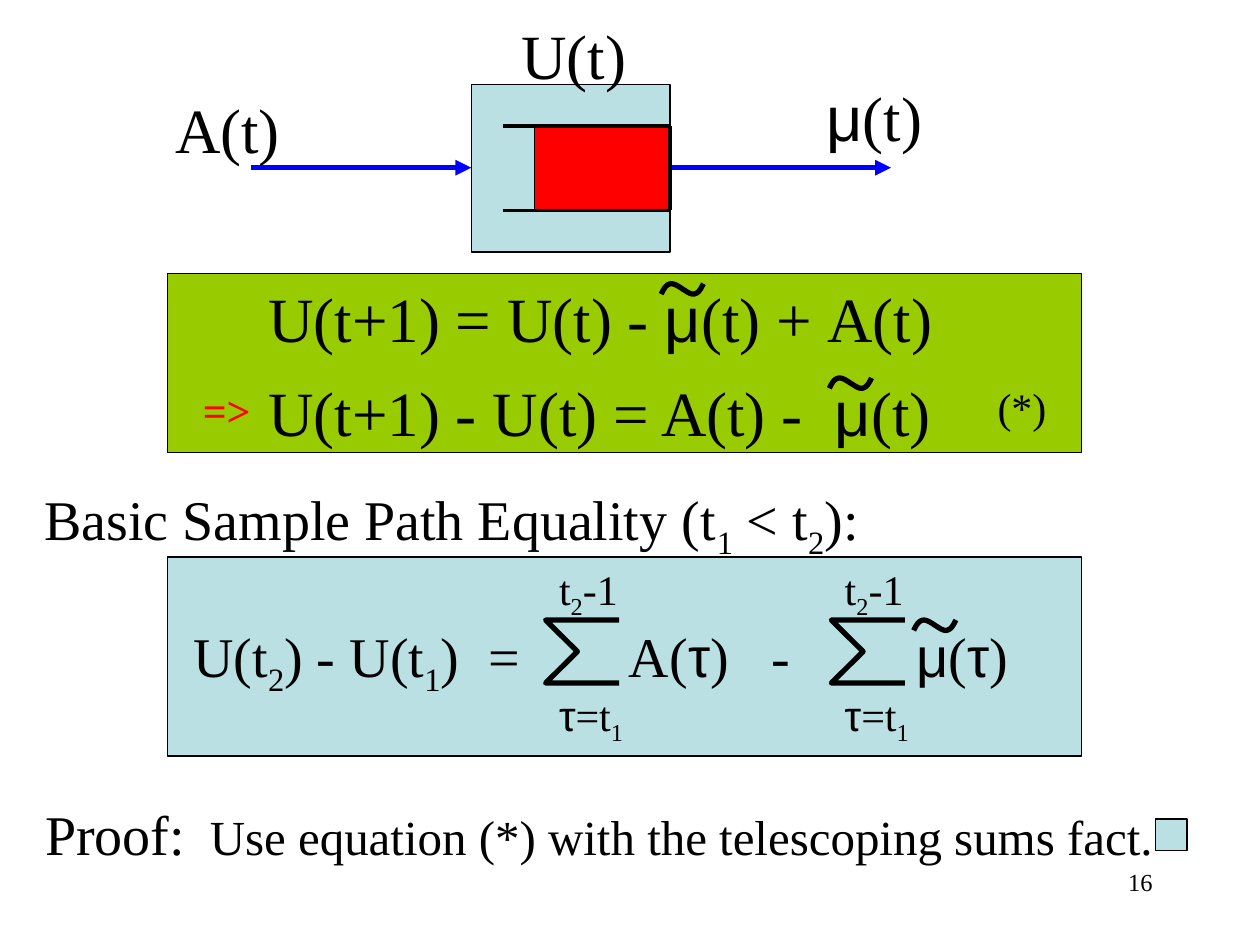
from itertools import groupby

from lxml import etree
from pptx import Presentation
from pptx.dml.color import RGBColor
from pptx.enum.shapes import MSO_CONNECTOR, MSO_SHAPE
from pptx.enum.text import MSO_AUTO_SIZE, PP_ALIGN
from pptx.oxml.ns import qn
from pptx.util import Cm, Pt

LINE = MSO_CONNECTOR.STRAIGHT
RECT = MSO_SHAPE.RECTANGLE
FIT, FIXED = MSO_AUTO_SIZE.SHAPE_TO_FIT_TEXT, MSO_AUTO_SIZE.NONE
LEFT, RIGHT = PP_ALIGN.LEFT, PP_ALIGN.RIGHT

SERIF, SANS = "Times New Roman", "Arial"
GREEK = "μτ"
BLACK, RED, BLUE = "000000", "FF0000", "0000FF"
GREEN, PALE = "99CC00", "BBE0E3"

# Cubic segments of a tilde in a unit box
TILDE = [
    [(0, 1), (0.06, 0.5), (0.12, 0), (0.25, 0)],
    [(0.25, 0), (0.38, 0), (0.63, 1), (0.75, 1)],
    [(0.75, 1), (0.88, 1), (0.94, 0.5), (1, 0)],
]
CURVE_STEPS = 8


def rgb(color):
    return RGBColor.from_string(color)


def set_line(line, color, width):
    line.color.rgb = rgb(color)
    line.width = Pt(width)


def add_box(shapes, x, y, w, h, fill):
    sp = shapes.add_shape(RECT, Cm(x), Cm(y), Cm(w), Cm(h))
    sp.shadow.inherit = False
    sp.fill.solid()
    sp.fill.fore_color.rgb = rgb(fill)
    set_line(sp.line, BLACK, 0.75)


def add_line(shapes, x1, y1, x2, y2, color=BLACK, width=2, arrow=False):
    cxn = shapes.add_connector(LINE, Cm(x1), Cm(y1), Cm(x2), Cm(y2))
    set_line(cxn.line, color, width)
    sp_pr = cxn._element.spPr
    if arrow:
        etree.SubElement(sp_pr.find(qn("a:ln")), qn("a:tailEnd"), type="triangle")
    etree.SubElement(sp_pr, qn("a:effectLst"))


def add_outline(shapes, points):
    """Draw an open black outline through points given in cm."""
    pts = [(Cm(x), Cm(y)) for x, y in points]
    builder = shapes.build_freeform(*pts[0])
    builder.add_line_segments(pts[1:], close=False)
    sp = builder.convert_to_shape()
    sp.shadow.inherit = False
    sp.fill.background()
    set_line(sp.line, BLACK, 3)


def add_tilde(shapes, x, y, w=0.85, h=0.21):
    points = [(x, y + h)]
    for segment in TILDE:
        for i in range(1, CURVE_STEPS + 1):
            t = i / CURVE_STEPS
            weights = ((1 - t) ** 3, 3 * t * (1 - t) ** 2, 3 * t * t * (1 - t), t ** 3)
            u, v = (sum(k * pt[axis] for k, pt in zip(weights, segment)) for axis in (0, 1))
            points.append((x + u * w, y + v * h))
    add_outline(shapes, points)


def add_runs(p, text, size, color=BLACK, bold=False):
    """Add runs: Greek letters in the sans font, a character after _ as subscript."""
    marked = [(ch, ch in GREEK, text[i - 1:i] == "_")
              for i, ch in enumerate(text) if ch != "_"]
    for (greek, sub), chars in groupby(marked, key=lambda m: m[1:]):
        r = p.add_run()
        r.text = "".join(m[0] for m in chars)
        r.font.name = SANS if greek else SERIF
        r.font.size = Pt(size)
        r.font.bold = bold
        r.font.color.rgb = rgb(color)
        if sub:
            r.font._element.set("baseline", "-25000")


def add_text(shapes, x, y, w, h, *lines, size=36, color=BLACK, bold=False,
             wrap=False, align=LEFT, inset=0.25, gap=0, tabs=()):
    tf = shapes.add_textbox(Cm(x), Cm(y), Cm(w), Cm(h)).text_frame
    tf.word_wrap = wrap
    tf.auto_size = FIXED if wrap else FIT
    tf.margin_left = Cm(inset)
    for i, line in enumerate(lines):
        p = tf.add_paragraph() if i else tf.paragraphs[0]
        if tabs:
            tab_list = etree.SubElement(p._p.get_or_add_pPr(), qn("a:tabLst"))
            for pos in tabs:
                etree.SubElement(tab_list, qn("a:tab"), pos=str(Cm(pos)), algn="l")
        p.alignment = align
        if i:
            p.space_before = Pt(gap)
        add_runs(p, line, size, color, bold)
    return tf.paragraphs[0]


def add_sum(shapes, x):
    """Draw a summation sign with its limits."""
    group = shapes.add_group_shape().shapes
    top, bottom = 12.5, 13.77
    right, middle = x + 1.48, (top + bottom) / 2
    add_outline(group, [(right, bottom), (x, bottom), (x + 0.64, middle),
                        (x, top), (right, top)])
    for y, limit in ((bottom, "τ=t_1"), (11.23, "t_2-1")):
        add_text(group, x + 0.02, y, 2.2, 1.42, limit, size=24, wrap=True)


def draw_queue(shapes):
    for x in (5.05, 13.51):
        add_line(shapes, x, 3.38, x + 4.45, 3.38, BLUE, 3, arrow=True)
    add_text(shapes, 3.28, 1.7, 2.62, 1.78, "A(t)")
    add_text(shapes, 16.41, 1.45, 2.44, 1.78, "μ(t)")
    add_box(shapes, 9.5, 1.7, 4.01, 3.38, PALE)
    add_text(shapes, 10.26, 0.2, 2.62, 1.78, "U(t)")
    add_box(shapes, 10.77, 2.54, 2.74, 1.7, RED)
    for y in (4.24, 2.54):
        add_line(shapes, 10.13, y, 13.51, y)
    add_line(shapes, 13.51, 2.54, 13.51, 4.24)


def draw_update_rule(shapes):
    add_box(shapes, 3.38, 5.51, 18.42, 3.61, GREEN)
    add_text(shapes, 5.16, 5.51, 14.22, 3.68, "U(t+1) = U(t) - μ(t) + A(t)",
             "U(t+1) - U(t) = A(t) -\tμ(t)", wrap=True, gap=10.5, tabs=[11.42])
    add_tilde(shapes, 13.33, 5.72)
    add_tilde(shapes, 16.72, 7.62)
    add_text(shapes, 3.84, 7.62, 1.47, 1.27, "=>", size=24, color=RED, bold=True)
    add_text(shapes, 19.86, 7.57, 1.5, 1.27, "(*)", size=24)


def draw_sample_path(shapes):
    add_box(shapes, 3.38, 11.23, 18.42, 4.01, PALE)
    add_text(shapes, 0.64, 9.65, 20.19, 1.8,
             "Basic Sample Path Equality (t_1 < t_2):", size=32, wrap=True)
    for x in (11, 16.76):
        add_sum(shapes, x)
    add_tilde(shapes, 18.42, 12.5)
    add_text(shapes, 3.38, 12.4, 17.35, 3.15, "U(t_2) - U(t_1)\t=\tA(τ)\t-\tμ(τ)",
             size=32, wrap=True, inset=0.52, tabs=[5.95, 8.78, 11.65, 14.58])


def draw_proof(shapes):
    p = add_text(shapes, 0.66, 16, 23.32, 1.63, "Proof:", size=32, wrap=True, tabs=[3.32])
    add_runs(p, "\tUse equation (*) with the telescoping sums fact.", 28)
    add_box(shapes, 23.29, 16.51, 0.64, 0.64, PALE)


def main():
    prs = Presentation()
    prs.slide_width, prs.slide_height = Cm(25.4), Cm(19.05)
    shapes = prs.slides.add_slide(prs.slide_layouts[6]).shapes
    draw_queue(shapes)
    draw_update_rule(shapes)
    draw_sample_path(shapes)
    draw_proof(shapes)
    # Slide number
    add_text(shapes, 18.2, 17.35, 5.29, 1.27, "16", size=14, wrap=True, align=RIGHT)
    prs.save("out.pptx")


if __name__ == "__main__":
    main()
